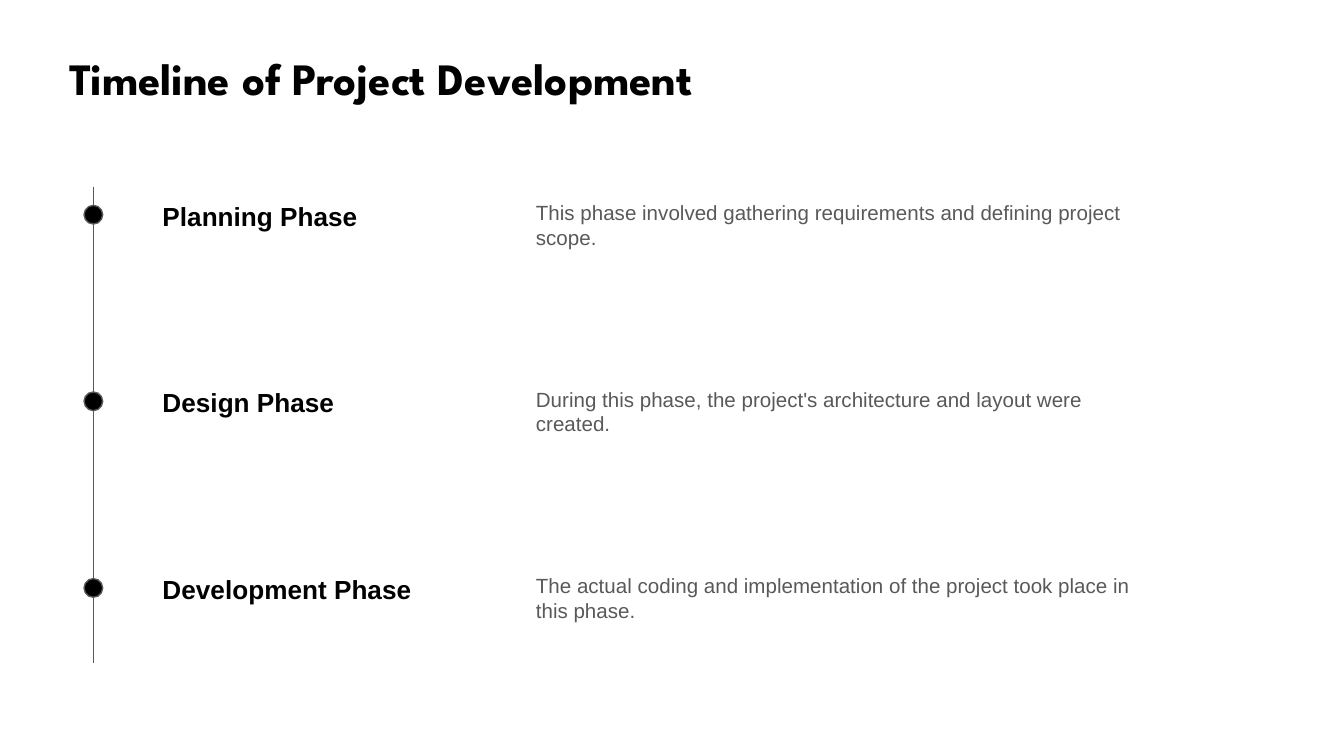
from lxml import etree
from pptx import Presentation
from pptx import util as u
from pptx.dml.color import RGBColor
from pptx.enum import shapes, text
from pptx.oxml.ns import qn

COLORS = {"ink": "000000", "muted": "595959", "paper": "FFFFFF"}
WIDTH = 10
HEIGHT = WIDTH * 9 / 16
COLUMNS = 72
TOP, STEP = 10, 10  # first phase row and distance between rows, in grid units
AXIS = 5

PHASES = [
    ("Planning Phase",
     "This phase involved gathering requirements and defining project scope."),
    ("Design Phase",
     "During this phase, the project's architecture and layout were created."),
    ("Development Phase",
     "The actual coding and implementation of the project took place in this phase."),
]


def grid(*units):
    """Turn square grid units, 72 across the slide, into lengths."""
    return [u.Inches(n * WIDTH / COLUMNS) for n in units]


def color(name):
    return RGBColor.from_string(COLORS[name])


def write(sp, words, size, ink, font="Arial", bold=False):
    tf = sp.text_frame
    tf.word_wrap = True
    tf.auto_size = text.MSO_AUTO_SIZE.NONE
    tf.vertical_anchor = text.MSO_ANCHOR.TOP
    tf.margin_left = tf.margin_right = u.Inches(0.1)
    tf.margin_top = tf.margin_bottom = u.Inches(0.1)
    p = tf.paragraphs[0]
    p.alignment = text.PP_ALIGN.LEFT
    p.line_spacing = 1.0
    p.space_before = u.Pt(0)
    r = p.add_run()
    r.text = words
    r.font.name = font
    r.font.size = u.Pt(size)
    r.font.bold = bold
    r.font.color.rgb = color(ink)


def outline(sp):
    sp.line.color.rgb = color("muted")
    sp.line.width = u.Pt(0.75)


def add_title(s, words):
    sp = s.shapes.title
    sp.left, sp.top, sp.width, sp.height = grid(3, 2, 65, 3.6)
    write(sp, words, 24, "ink", "League Spartan", True)


def add_axis(s, top, bottom):
    line = s.shapes.add_connector(
        shapes.MSO_CONNECTOR.STRAIGHT, *grid(AXIS, top, AXIS, bottom))
    outline(line)
    etree.SubElement(line._element.spPr, qn("a:effectLst"))


def add_dot(s, top):
    dot = s.shapes.add_shape(
        shapes.MSO_SHAPE.OVAL, *grid(AXIS - 0.5, top, 1, 1))
    dot.shadow.inherit = False
    dot.fill.solid()
    dot.fill.fore_color.rgb = color("ink")
    outline(dot)


def add_phase(s, top, name, description):
    heading = s.shapes.add_textbox(*grid(8, top, 15, 2.5))
    write(heading, name, 14, "ink", bold=True)
    body = s.shapes.add_textbox(*grid(28, top, 35, STEP))
    write(body, description, 11, "muted")
    add_dot(s, top + 1)


def main():
    prs = Presentation()
    prs.slide_width, prs.slide_height = u.Inches(WIDTH), u.Inches(HEIGHT)
    s = prs.slides.add_slide(prs.slide_layouts[5])
    s.background.fill.solid()
    s.background.fill.fore_color.rgb = color("paper")

    add_title(s, "Timeline of Project Development")
    add_axis(s, TOP, 35.5)
    for i, (name, description) in enumerate(PHASES):
        add_phase(s, TOP + i * STEP, name, description)
    prs.save("out.pptx")


if __name__ == "__main__":
    main()
